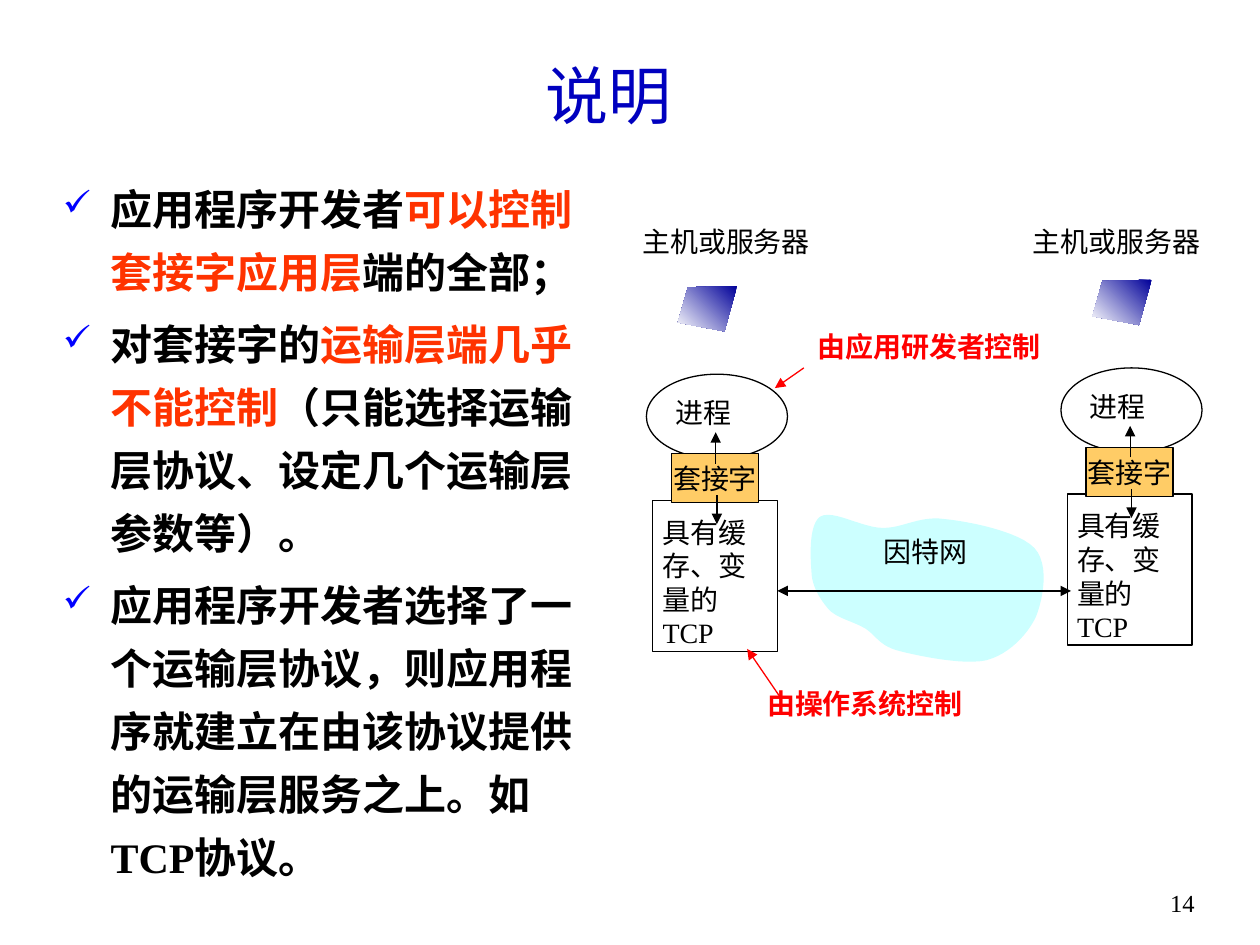
import pptx
import pptx.util
import pptx.dml.color
import pptx.enum.shapes
import pptx.enum.text
import pptx.oxml
import pptx.oxml.ns
from pptx.util import Inches

FONT = "Times New Roman"
COLORS = {
    "black": "000000", "title": "0000BF", "bullet": "0000FF",
    "highlight": "FF3300", "note": "FF0000", "socket": "FFCC66",
    "cloud": "CCFFFF", "host": "000099", "white": "FFFFFF",
}
SHAPES = pptx.enum.shapes.MSO_SHAPE
ALIGN = pptx.enum.text.PP_ALIGN
ANCHOR = pptx.enum.text.MSO_ANCHOR

BULLETS = [
    [("应用程序开发者", "black"), ("可以控制套接字应用层", "highlight"),
     ("端的全部；", "black")],
    [("对套接字的", "black"), ("运输层端几乎不能控制", "highlight"),
     ("（只能选择运输层协议、设定几个运输层参数等）。", "black")],
    [("应用程序开发者选择了一个运输层协议，则应用程序就建立在由该协议提供的"
      "运输层服务之上。如TCP协议。", "black")],
]

# Cloud outline: start point, then two control points and an end per curve
CLOUD_START = (6.44, 4.53)
CLOUD_CURVES = [
    ((6.43, 4.41), (6.42, 4.16), (6.51, 4.1)),
    ((6.61, 4.04), (6.84, 4.19), (7.01, 4.19)),
    ((7.17, 4.19), (7.3, 4.09), (7.5, 4.12)),
    ((7.7, 4.14), (8.09, 4.22), (8.21, 4.35)),
    ((8.33, 4.48), (8.28, 4.75), (8.22, 4.9)),
    ((8.15, 5.04), (8.01, 5.19), (7.83, 5.24)),
    ((7.65, 5.28), (7.31, 5.21), (7.15, 5.17)),
    ((6.98, 5.13), (6.96, 5.05), (6.87, 4.99)),
    ((6.77, 4.93), (6.65, 4.91), (6.58, 4.84)),
    ((6.51, 4.76), (6.44, 4.65), CLOUD_START),
]


def rgb(name):
    return pptx.dml.color.RGBColor.from_string(COLORS[name])


def format_font(font, size, color, bold=False):
    font.name = FONT
    font.size = pptx.util.Pt(size)
    font.bold = bold
    font.color.rgb = rgb(color)


def add_text(slide, text, left, top, width, height, size=16, color="black",
             bold=False, align=ALIGN.LEFT, anchor=ANCHOR.TOP, wrap=False):
    box = slide.shapes.add_textbox(
        Inches(left), Inches(top), Inches(width), Inches(height))
    frame = box.text_frame
    frame.text = text
    frame.word_wrap = wrap
    frame.vertical_anchor = anchor
    paragraph = frame.paragraphs[0]
    paragraph.alignment = align
    format_font(paragraph.runs[0].font, size, color, bold)


def add_outlined(slide, kind, left, top, width, height, fill=None, text=None):
    shape = slide.shapes.add_shape(
        kind, Inches(left), Inches(top), Inches(width), Inches(height))
    shape.shadow.inherit = False
    shape.line.color.rgb = rgb("black")
    shape.line.width = pptx.util.Pt(0.75)
    if fill:
        shape.fill.solid()
        shape.fill.fore_color.rgb = rgb(fill)
    else:
        shape.fill.background()
    if text:
        frame = shape.text_frame
        frame.text = text
        frame.word_wrap = False
        frame.vertical_anchor = ANCHOR.MIDDLE
        frame.paragraphs[0].alignment = ALIGN.CENTER
        format_font(frame.paragraphs[0].runs[0].font, 16, "black")


def add_arrow(slide, start, end, color="black", both_ends=False):
    arrow = slide.shapes.add_connector(
        pptx.enum.shapes.MSO_CONNECTOR.STRAIGHT,
        Inches(start[0]), Inches(start[1]), Inches(end[0]), Inches(end[1]))
    arrow.line.color.rgb = rgb(color)
    arrow.line.width = pptx.util.Pt(0.75)
    line = arrow.line._get_or_add_ln()
    for tag in ["a:headEnd", "a:tailEnd"] if both_ends else ["a:tailEnd"]:
        pptx.oxml.ns.qn(tag)
        head = pptx.oxml.parse_xml(
            f'<{tag} {pptx.oxml.ns.nsdecls("a")} type="triangle"/>')
        line.append(head)
    arrow._element.spPr.append(pptx.oxml.parse_xml(
        f'<a:effectLst {pptx.oxml.ns.nsdecls("a")}/>'))


def add_outline(slide, points):
    start, *others = [(Inches(x), Inches(y)) for x, y in points]
    builder = slide.shapes.build_freeform(*start)
    builder.add_line_segments(others, close=True)
    shape = builder.convert_to_shape()
    shape.shadow.inherit = False
    shape.line.fill.background()
    return shape


def curve_points(start, curves, steps=12):
    points = [start]
    for first, second, end in curves:
        for step in range(1, steps + 1):
            t = step / steps
            u = 1 - t
            points.append(tuple(
                u**3 * a + 3 * u * u * t * b + 3 * u * t * t * c + t**3 * d
                for a, b, c, d in zip(start, first, second, end)))
        start = end
    return points


def add_bullets(slide):
    box = slide.shapes.add_textbox(
        Inches(0.4), Inches(1.31), Inches(4.39), Inches(5.99))
    frame = box.text_frame
    frame.word_wrap = True
    for index, parts in enumerate(BULLETS):
        paragraph = frame.add_paragraph() if index else frame.paragraphs[0]
        paragraph.line_spacing = 1.25
        if index:
            paragraph.space_before = pptx.util.Pt(5)
        properties = paragraph._p.get_or_add_pPr()
        properties.set("marL", str(Inches(0.38)))
        properties.set("indent", str(-Inches(0.38)))
        for xml in (f'buClr {{}}><a:srgbClr val="{COLORS["bullet"]}"/></a:buClr>',
                    'buSzPct {} val="85000"/>', 'buChar {} char="✓"/>'):
            properties.append(pptx.oxml.parse_xml(
                "<a:" + xml.format(pptx.oxml.ns.nsdecls("a"))))
        for text, color in parts:
            run = paragraph.add_run()
            run.text = text
            format_font(run.font, 24, color, bold=True)


def add_host(slide, x, y):
    """Draw one host, with x and y at the corner of its process ellipse."""
    add_outlined(slide, SHAPES.OVAL, x, y, 1.12, 0.67)
    add_text(slide, "进程", x + 0.13, y + 0.12, 0.65, 0.37)
    add_outlined(slide, SHAPES.RECTANGLE, x + 0.05, y + 1, 0.99, 1.2)
    add_text(slide, "具有缓存、变量的TCP", x + 0.03, y + 1.07, 1.01, 1.17,
             wrap=True)
    add_outlined(slide, SHAPES.RECTANGLE, x + 0.2, y + 0.63, 0.69, 0.39,
                 "socket", "套接字")
    add_arrow(slide, (x + 0.55, y + 0.71), (x + 0.55, y + 0.46))
    add_arrow(slide, (x + 0.56, y + 0.96), (x + 0.56, y + 1.19))
    # Computer screen above the ellipse
    corners = [(0.72, -0.7), (0.33, -0.69), (0.25, -0.41), (0.62, -0.34)]
    screen = add_outline(slide, [(x + dx, y + dy) for dx, dy in corners])
    screen.fill.gradient()
    screen.fill.gradient_angle = 225
    for stop, color in zip(screen.fill.gradient_stops, ("host", "white")):
        stop.color.rgb = rgb(color)


def main():
    presentation = pptx.Presentation()
    presentation.slide_width = Inches(10)
    presentation.slide_height = Inches(7.5)
    slide = presentation.slides.add_slide(presentation.slide_layouts[6])

    # Page number, title and body
    add_text(slide, "14", 9.08, 7, 0.5, 0.5, size=14, align=ALIGN.RIGHT)
    add_text(slide, "说明", 0.58, 0.25, 8.5, 1, size=36, color="title",
             align=ALIGN.CENTER, anchor=ANCHOR.MIDDLE, wrap=True)
    add_bullets(slide)

    # Network cloud and the two hosts
    cloud = add_outline(slide, curve_points(CLOUD_START, CLOUD_CURVES))
    cloud.fill.solid()
    cloud.fill.fore_color.rgb = rgb("cloud")
    add_host(slide, 5.13, 2.97)
    add_host(slide, 8.42, 2.92)
    for left in (5, 8.1):
        add_text(slide, "主机或服务器", left, 1.73, 1.54, 0.37)
    add_text(slide, "因特网", 6.91, 4.19, 0.87, 0.37, align=ALIGN.CENTER)
    add_arrow(slide, (6.17, 4.69), (8.5, 4.69), both_ends=True)

    # Notes on who controls what
    add_text(slide, "由操作系统控制", 5.99, 5.4, 1.77, 0.37, color="note", bold=True)
    add_arrow(slide, (6.19, 5.53), (5.93, 5.15), "note")
    add_text(slide, "由应用研发者控制", 6.39, 2.57, 2.05, 0.37, color="note",
             bold=True, wrap=True)
    add_arrow(slide, (6.38, 2.92), (6.15, 3.08), "note")

    presentation.save("out.pptx")


if __name__ == "__main__":
    main()
